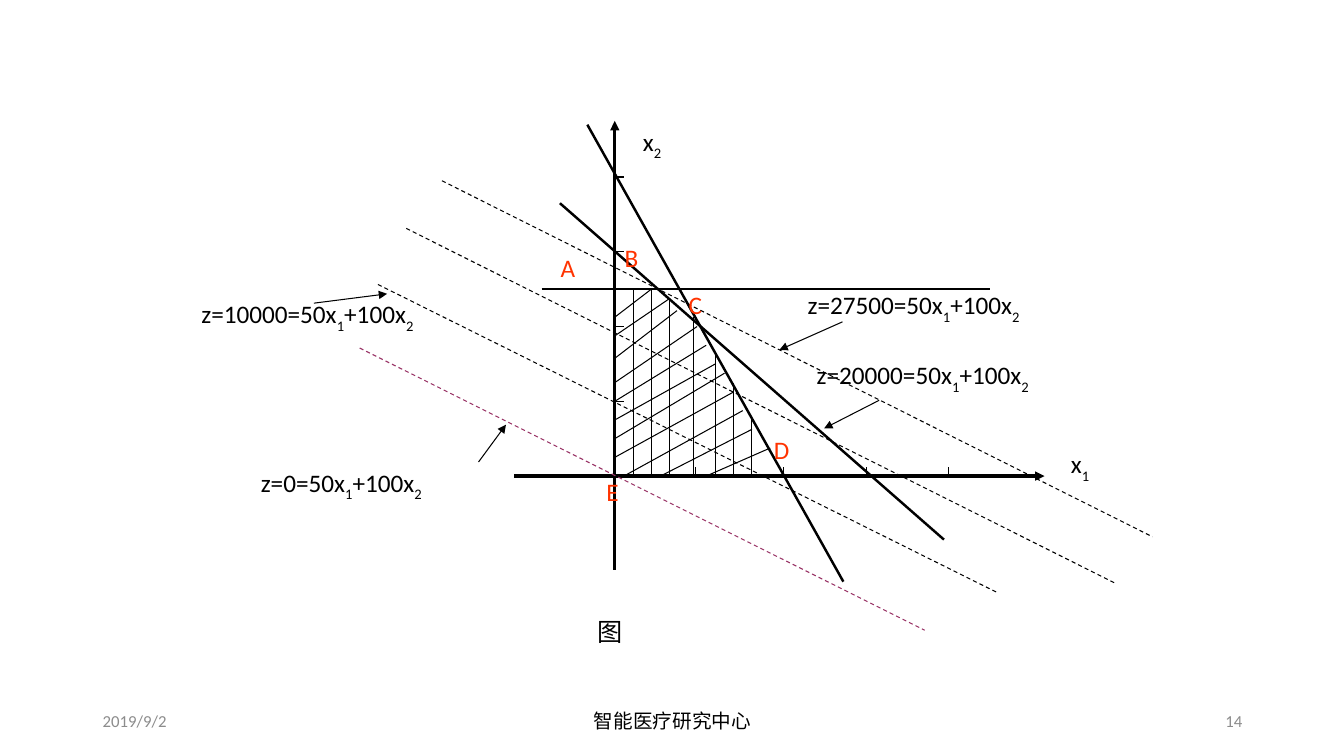
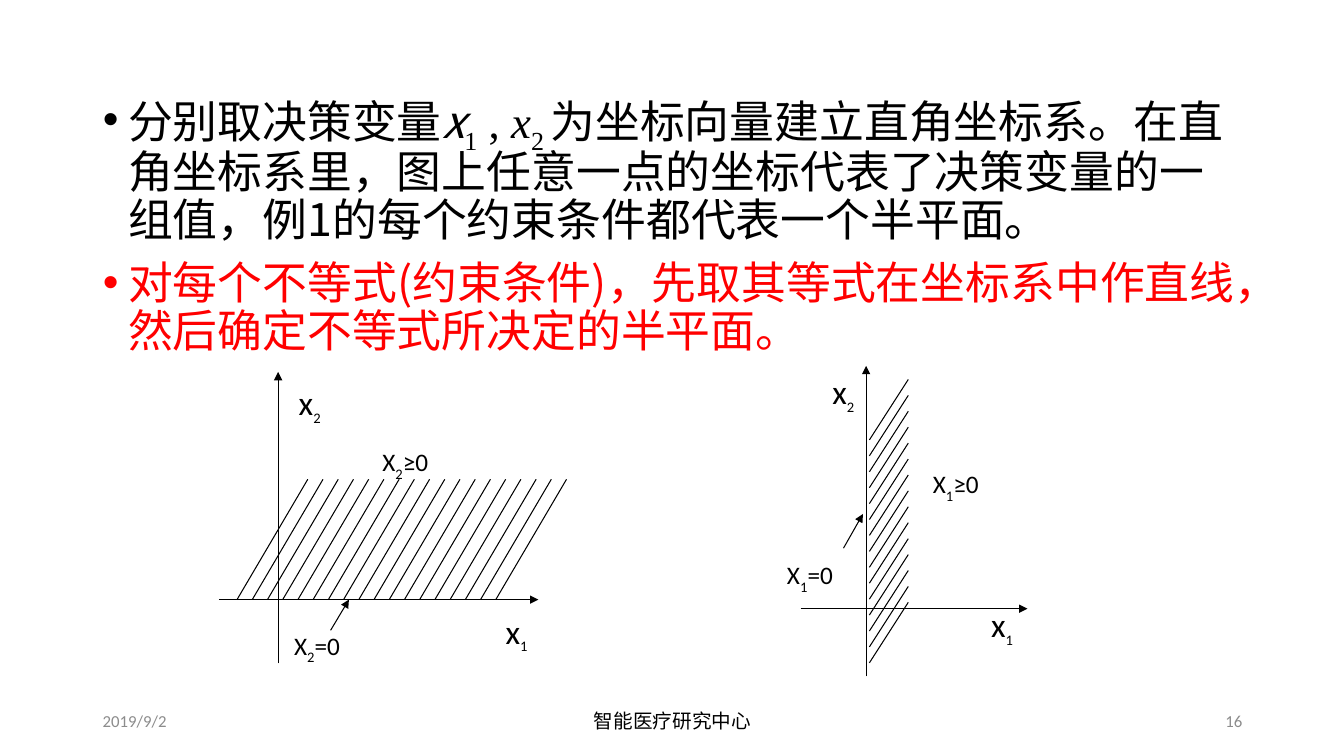
from dataclasses import dataclass

from pptx import Presentation
from pptx.dml.color import RGBColor
from pptx.enum.dml import MSO_LINE
from pptx.enum.text import MSO_ANCHOR, MSO_AUTO_SIZE, PP_ALIGN
from pptx.oxml.ns import qn
from pptx.util import Inches, Pt
from lxml.etree import SubElement

W, H = 13.33, 7.5
COLORS = {"ink": "000000", "muted": "8C8C8C", "vertex": "FF3300",
          "base": "993366", "key": "FF0000"}
LATIN, CJK, SERIF = "Calibri", "Noto Sans CJK SC", "Times New Roman"


@dataclass
class Grid:
    """A box split in columns and rows, counted from the origin of its axes."""
    left: float
    top: float
    width: float
    height: float
    cols: float
    rows: float
    origin_col: float
    origin_row: float

    def at(self, col, row):
        """Turn a column and a row (upwards) into slide inches."""
        x = self.left + (col + self.origin_col) * self.width / self.cols
        y = self.top + self.height - (row + self.origin_row) * self.height / self.rows
        return x, y

    def ends(self):
        """Return the first and last column, then the first and last row."""
        return (-self.origin_col, self.cols - self.origin_col,
                -self.origin_row, self.rows - self.origin_row)


def write(p, text, size=18, font=LATIN, color="ink", italic=False, base=0):
    """Add a run to a paragraph; base is the baseline shift in percent."""
    r = p.add_run()
    r.text = text
    r.font.size, r.font.name, r.font.italic = Pt(size), font, italic
    r.font.color.rgb = RGBColor.from_string(COLORS[color])
    rPr = r._r.get_or_add_rPr()
    if base:
        rPr.set("baseline", str(base * 1000))
    SubElement(rPr, qn("a:ea")).set("typeface", CJK)


def textbox(s, left, top, width, height):
    """Add an empty wrapping text box and return its text frame."""
    tf = s.shapes.add_textbox(*map(Inches, (left, top, width, height))).text_frame
    tf.word_wrap = True
    return tf


def label(s, grid, spot, text, width, height=0.48, sub_size=18, **fmt):
    """Write a label at a grid spot; the character after _ is a subscript."""
    p = textbox(s, *grid.at(*spot), width, height).paragraphs[0]
    head, *parts = text.split("_")
    write(p, head, **fmt)
    for part in parts:
        write(p, part[0], **{**fmt, "size": sub_size}, base=-30)
        if part[1:]:
            write(p, part[1:], **fmt)


def line(s, grid, start, end, width=0.75, color="ink", dash=False, arrow=False):
    """Draw a straight line between two grid spots."""
    points = map(Inches, grid.at(*start) + grid.at(*end))
    sp = s.shapes.add_connector(1, *points)
    sp.line.width = Pt(width)
    sp.line.color.rgb = RGBColor.from_string(COLORS[color])
    if dash:
        sp.line.dash_style = MSO_LINE.DASH
    if arrow:
        SubElement(sp.line._get_or_add_ln(), qn("a:tailEnd")).set("type", "triangle")
    SubElement(sp._element.spPr, qn("a:effectLst"))


def axes(s, grid, width=0.75):
    """Draw both axes through the origin, each as long as the grid."""
    first_col, last_col, first_row, last_row = grid.ends()
    line(s, grid, (0, first_row), (0, last_row), width, arrow=True)
    line(s, grid, (first_col, 0), (last_col, 0), width, arrow=True)


def footer(s, number):
    """Write date, centre name and slide number at the foot of the slide."""
    for left, width, text, align, fmt in (
            (0.92, 3, "2019/9/2", PP_ALIGN.LEFT, dict(size=12, color="muted")),
            (4.42, 4.5, "智能医疗研究中心", PP_ALIGN.CENTER, dict(size=14, font=CJK)),
            (9.42, 3, str(number), PP_ALIGN.RIGHT, dict(size=12, color="muted"))):
        tf = textbox(s, left, 6.95, width, 0.4)
        tf.vertical_anchor = MSO_ANCHOR.MIDDLE
        tf.paragraphs[0].alignment = align
        write(tf.paragraphs[0], text, **fmt)


def feasible_region(s, grid):
    """Hatch the region bounded by the axes and the constraints."""
    for col, top in ((2, 20), (4, 20), (6, 19), (8.6, 17), (11, 13), (13, 10), (15, 6)):
        line(s, grid, (col, 0), (col, top))
    for start, end in (((0, 17), (4, 20)), ((0, 15), (6, 19)), ((0, 12.6), (6.8, 17.7)),
                       ((0, 10), (9, 16)), ((0, 8), (10, 14)), ((0, 6), (11, 12)),
                       ((0, 4), (12, 11)), ((0, 2), (13, 9)), ((1, 0), (14, 7)),
                       ((5, 0), (15, 5)), ((10, 0), (17, 3))):
        line(s, grid, start, end)


def objective_plot(s, grid):
    """Draw constraints, feasible region and objective lines."""
    axes(s, grid, 2.25)
    for row in range(8, 33, 8):
        line(s, grid, (0, row), (1, row))
    for col in (8.8, 18.5, 27.5, 36.5):
        line(s, grid, (col, 0), (col, 1))
    for start, end in (((-6, 29.2), (36, -6.8)), ((-3, 37.6), (25, -11.3)),
                       ((-8, 20), (41, 20))):
        line(s, grid, start, end, 1.75)
    feasible_region(s, grid)
    for start, end, color in (((-18.9, 31.6), (58.8, -6.5), "ink"),
                              ((-22.8, 26.5), (54.8, -11.5), "ink"),
                              ((-25.9, 20.5), (41.9, -12.5), "ink"),
                              ((-27.9, 13.7), (33.9, -16.5), "base")):
        line(s, grid, start, end, color=color, dash=True)
    for value, spot, start, end in (
            (20000, (21, 13), (28.9, 8.1), (22.9, 5.1)),
            (27500, (20, 20.5), (24.9, 16.5), (18, 13.5)),
            (0, (-39.8, 1.5), (-14.9, 1.5), (-11.9, 5.5)),
            (10000, (-46.3, 19.5), (-32.9, 18.5), (-24.9, 19.5))):
        label(s, grid, spot, f"z={value}=50x_1+100x_2", 3.25)
        line(s, grid, start, end, arrow=True)
    label(s, grid, (48.8, 3.5), "x_1", 0.63)
    label(s, grid, (2, 38), "x_2", 0.63)
    label(s, grid, (-3, -14.5), "图", 1.81)
    for name, spot in (("A", (-7, 24.5)), ("B", (0, 25.5)), ("C", (7, 20.5)),
                       ("D", (16.3, 5)), ("E", (-2, 0.5))):
        label(s, grid, spot, name, 0.72, color="vertex")


def half_plane(s, grid, var, hatch, labels, pointer):
    """Draw axes, the hatched side of var = 0 and the labels.

    hatch is the first stroke, the step to the next one and their count;
    labels are the spots and sizes of x2, x1, the inequality and the equation.
    """
    axes(s, grid)
    start, end, (dc, dr), count = hatch
    for i in range(count):
        line(s, grid, (start[0] + i * dc, start[1] + i * dr),
             (end[0] + i * dc, end[1] + i * dr))
    line(s, grid, *pointer, arrow=True)
    for text, size, (spot, width, height) in zip(
            ("x_2", "x_1", f"X_{var}≥0", f"X_{var}=0"), (24, 24, 18, 18), labels):
        label(s, grid, spot, text, width, height, size=size)


def bullets(sp, box, paragraphs):
    """Place the body placeholder and fill it with bulleted runs."""
    sp.left, sp.top, sp.width, sp.height = map(Inches, box)
    tf = sp.text_frame
    tf.auto_size = MSO_AUTO_SIZE.NONE
    for i, runs in enumerate(paragraphs):
        p = tf.add_paragraph() if i else tf.paragraphs[0]
        p.line_spacing, p.space_before = 0.9, Pt(10)
        pPr = p._p.get_or_add_pPr()
        pPr.set("marL", str(Inches(0.25)))
        pPr.set("indent", str(-Inches(0.25)))
        SubElement(pPr, qn("a:buFont")).set("typeface", "Arial")
        SubElement(pPr, qn("a:buChar")).set("char", "•")
        for text, fmt in runs:
            write(p, text, **{"size": 32, "font": CJK, **fmt})


def objective_slide(prs):
    """Build the slide with the graphical solution."""
    s = prs.slides.add_slide(prs.slide_layouts[6])
    objective_plot(s, Grid(5.1, 1.2, 5.26, 4.45, 58, 48, 11, 10))
    footer(s, 14)


def half_plane_slide(prs):
    """Build the slide that explains half-planes."""
    s = prs.slides.add_slide(prs.slide_layouts[1])
    title = s.shapes.title._element
    title.getparent().remove(title)
    serif, sub = dict(font=SERIF), dict(font=SERIF, base=-25)
    bullets(s.placeholders[1], (0.92, 0.89, 11.5, 5.86), (
        (("分别取决策变量", {}), ("x", dict(italic=True)), ("1", sub), (" , ", serif),
         ("x", dict(font=SERIF, italic=True)), ("2 ", sub),
         ("为坐标向量建立直角坐标系。在直角坐标系里，图上任意一点的坐标代表了决策变量的"
          "一组值，例1的每个约束条件都代表一个半平面。", {})),
        (("对每个不等式(约束条件)，先取其等式在坐标系中作直线，然后确定不等式所决定的半平面。",
          dict(color="key")),)))
    footer(s, 16)
    half_plane(s, Grid(2.17, 3.69, 3.17, 2.89, 21, 19, 3.9, 4.15), 2,
               hatch=((-2.7, 0), (1.95, 7.85), (1, 0), 18),
               labels=(((0.7, 14.5), 0.47, 0.4), ((14.3, -0.4), 0.47, 0.4),
                       ((6.2, 10.3), 0.94, 0.35), ((0.4, -1.65), 0.76, 0.35)),
               pointer=((3.45, -2), (4.65, 0)))
    half_plane(s, Grid(7.94, 3.63, 2.25, 3.08, 14, 19.5, 4.05, 4.25), 1,
               hatch=((0.2, -3.4), (2.6, 0.4), (0, 1), 15),
               labels=(((-2.7, 15.25), 0.52, 0.43), ((7.1, 0.6), 0.52, 0.43),
                       ((3.5, 9.1), 1.05, 0.37), ((-5.5, 3.4), 0.85, 0.37)),
               pointer=((-1.4, 3.8), (-0.2, 5.95)))


prs = Presentation()
prs.slide_width, prs.slide_height = Inches(W), Inches(H)
objective_slide(prs)
half_plane_slide(prs)
prs.save("out.pptx")
